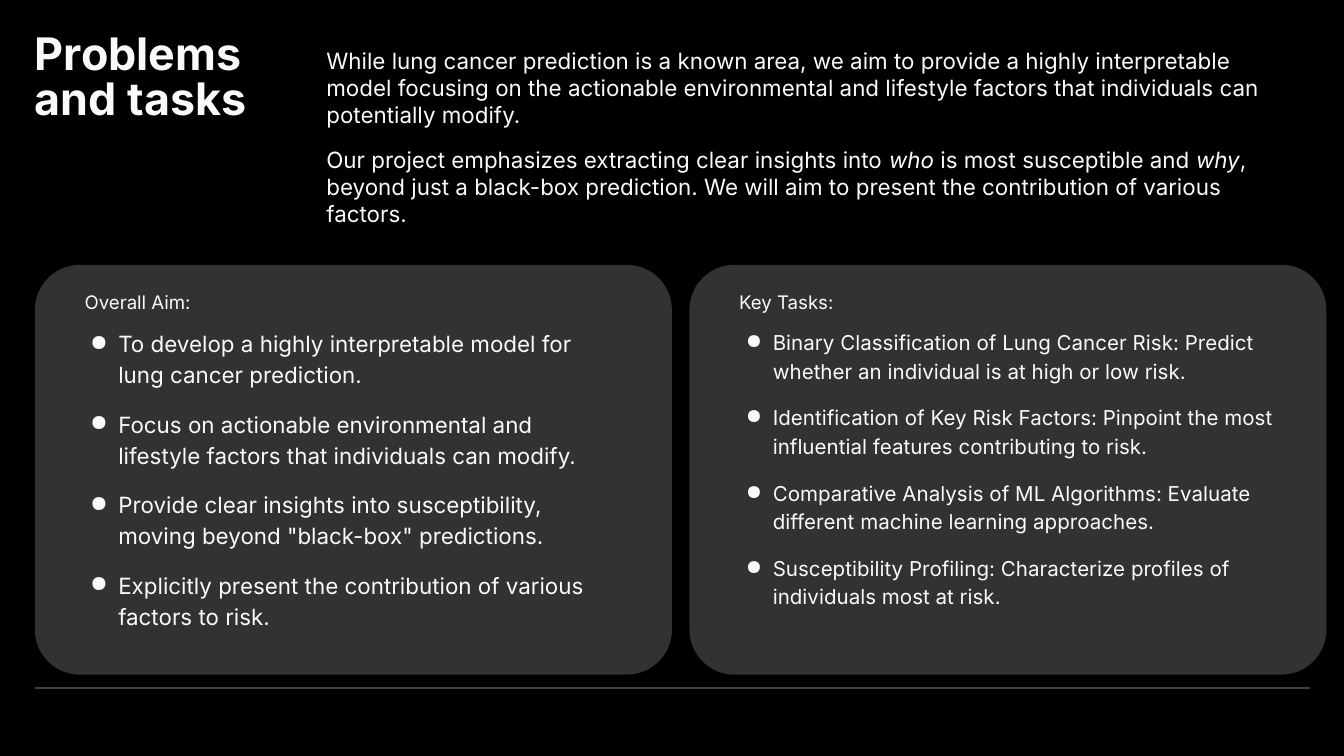
import lxml.etree
import pptx
import pptx.dml.color
import pptx.enum.shapes
import pptx.enum.text
import pptx.oxml.ns
import pptx.util

Inches = pptx.util.Inches
Pt = pptx.util.Pt
qn = pptx.oxml.ns.qn
ANCHOR = pptx.enum.text.MSO_ANCHOR


def color(hex_string):
    return pptx.dml.color.RGBColor.from_string(hex_string)


def write_text(text_frame, paragraphs, size=12, bold=False, line_spacing=None,
               space_before=0, space_after=0, hanging=None):
    """Write paragraphs, each a string or a list of (text, italic) runs."""
    for index, content in enumerate(paragraphs):
        paragraph = text_frame.paragraphs[0] if index == 0 else text_frame.add_paragraph()
        if line_spacing:
            paragraph.line_spacing = line_spacing
        if index:
            paragraph.space_before = Pt(space_before)
        if space_after and index == len(paragraphs) - 1:
            paragraph.space_after = Pt(space_after)
        if hanging:
            add_bullet(paragraph, hanging)
        runs = [(content, False)] if isinstance(content, str) else content
        for text, italic in runs:
            run = paragraph.add_run()
            run.text = text
            run.font.name = Style.font
            run.font.size = Pt(size)
            run.font.bold = bold
            run.font.italic = italic
            run.font.color.rgb = color(Style.text)


def add_bullet(paragraph, hanging):
    properties = paragraph._p.get_or_add_pPr()
    properties.set("marL", str(Inches(0.25)))
    properties.set("indent", str(-Inches(hanging)))
    bullet_color = lxml.etree.SubElement(properties, qn("a:buClr"))
    lxml.etree.SubElement(bullet_color, qn("a:srgbClr"), val=Style.text)
    lxml.etree.SubElement(properties, qn("a:buChar"), char="●")


class Style:
    font = "Inter"
    background = "000000"
    text = "FAFAFA"
    card_fill = "323232"
    rule = "434343"

    def __init__(self, slide):
        self.slide = slide
        slide.background.fill.solid()
        slide.background.fill.fore_color.rgb = color(self.background)

    def text_box(self, left, top, width, height, paragraphs,
                 insets=(0, 0, 0.1, 0.1), anchor=ANCHOR.TOP, **text_format):
        box = self.slide.shapes.add_textbox(
            Inches(left), Inches(top), Inches(width), Inches(height))
        frame = box.text_frame
        frame.word_wrap = True
        frame.vertical_anchor = anchor
        (frame.margin_left, frame.margin_top,
         frame.margin_right, frame.margin_bottom) = map(Inches, insets)
        write_text(frame, paragraphs, **text_format)

    def card(self, left, top, width, height):
        shape = self.slide.shapes.add_shape(
            pptx.enum.shapes.MSO_SHAPE.ROUNDED_RECTANGLE,
            Inches(left), Inches(top), Inches(width), Inches(height))
        shape.adjustments[0] = 0.11
        shape.shadow.inherit = False
        shape.fill.solid()
        shape.fill.fore_color.rgb = color(self.card_fill)
        shape.line.fill.background()

    def horizontal_rule(self, left, right, y):
        line = self.slide.shapes.add_connector(
            pptx.enum.shapes.MSO_CONNECTOR.STRAIGHT,
            Inches(left), Inches(y), Inches(right), Inches(y))
        line.line.color.rgb = color(self.rule)
        line.line.width = Pt(0.75)
        lxml.etree.SubElement(line._element.spPr, qn("a:effectLst"))


def main():
    presentation = pptx.Presentation()
    presentation.slide_width = Inches(10)
    presentation.slide_height = presentation.slide_width * 9 // 16
    slide = presentation.slides.add_slide(presentation.slide_layouts[6])
    style = Style(slide)

    # Footer rule
    style.horizontal_rule(0.26, 9.75, 5.12)

    # Title and introduction
    style.text_box(0.26, 0.25, 2.08, 0.72, ["Problems", "and tasks"],
                   insets=(0, 0, 0, 0), size=24, bold=True, line_spacing=0.85)
    introduction = [
        "While lung cancer prediction is a known area, we aim to provide a highly "
        "interpretable model focusing on the actionable environmental and lifestyle "
        "factors that individuals can potentially modify.",
        [("Our project emphasizes extracting clear insights into ", False),
         ("who", True),
         (" is most susceptible and ", False),
         ("why", True),
         (", beyond just a black-box prediction. We will aim to present the "
          "contribution of various factors.", False)],
    ]
    style.text_box(2.33, 0.25, 7.42, 1.55, introduction,
                   insets=(0.1, 0.1, 0.1, 0.1), space_before=10)

    # Cards: heading, text size, bullet hang, bullet items
    cards = [
        ("Overall Aim:", 12, 0.21, [
            "To develop a highly interpretable model for lung cancer prediction.",
            "Focus on actionable environmental and lifestyle factors that "
            "individuals can modify.",
            "Provide clear insights into susceptibility, moving beyond "
            "\"black-box\" predictions.",
            "Explicitly present the contribution of various factors to risk.",
        ]),
        ("Key Tasks:", 11, 0.2, [
            "Binary Classification of Lung Cancer Risk: Predict whether an "
            "individual is at high or low risk.",
            "Identification of Key Risk Factors: Pinpoint the most influential "
            "features contributing to risk.",
            "Comparative Analysis of ML Algorithms: Evaluate different machine "
            "learning approaches.",
            "Susceptibility Profiling: Characterize profiles of individuals "
            "most at risk.",
        ]),
    ]
    card_width, card_gap = 4.74, 0.13
    for column, (heading, size, hanging, items) in enumerate(cards):
        left = 0.26 + column * (card_width + card_gap)
        text_left = left + 0.37
        style.card(left, 1.97, card_width, 3.05)
        style.text_box(text_left, 2.11, 4.09, 0.32, [heading],
                       anchor=ANCHOR.BOTTOM, size=10)
        style.text_box(text_left, 2.43, 4.09, 2.5, items, size=size,
                       line_spacing=1.15, space_before=10, space_after=10,
                       hanging=hanging)

    presentation.save("out.pptx")


if __name__ == "__main__":
    main()
